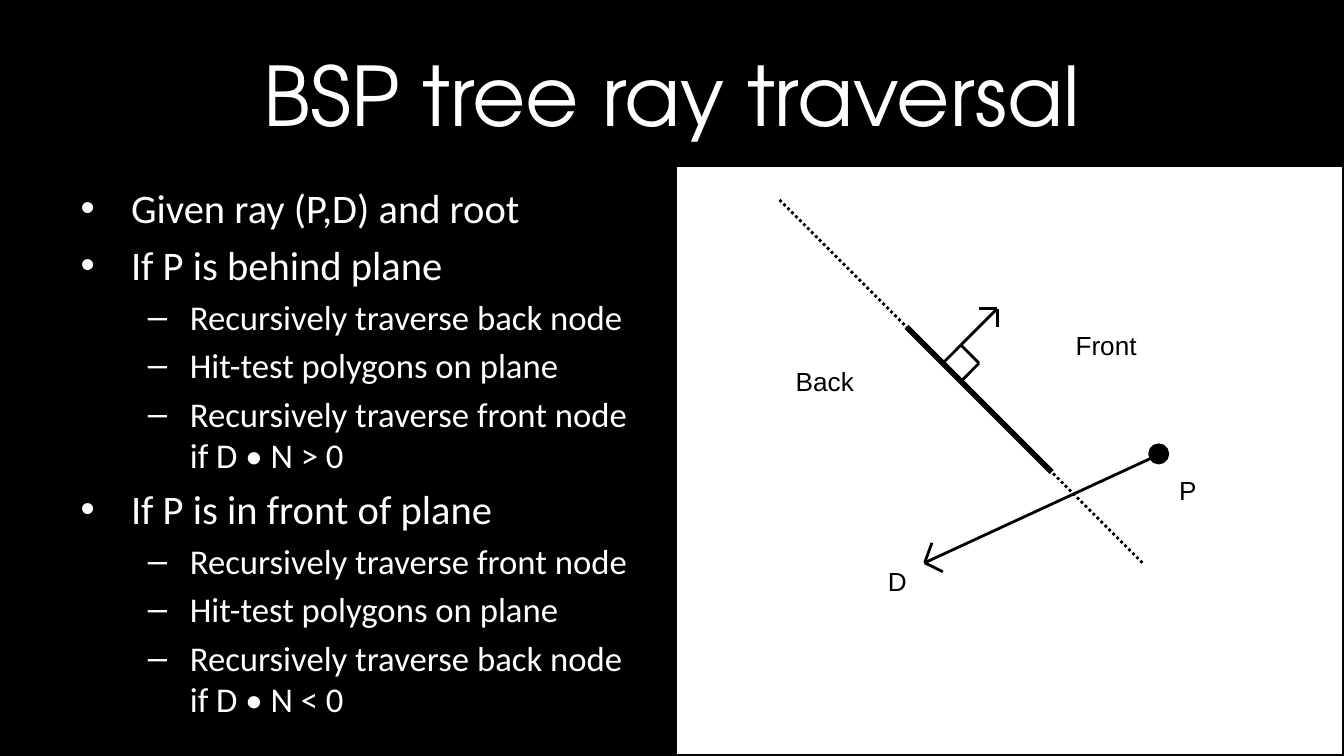
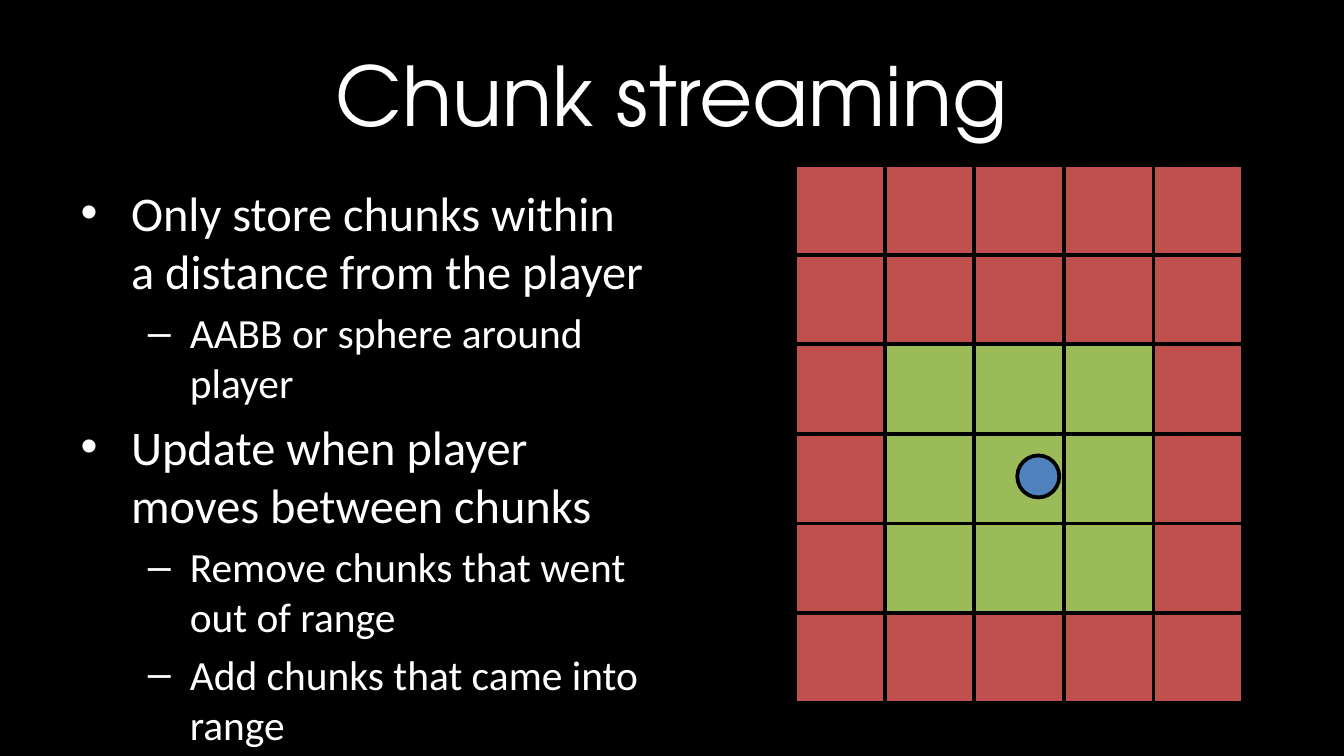
import pptx
import pptx.util
import pptx.dml.color
import pptx.enum.dml
import pptx.enum.shapes
import pptx.enum.text
import pptx.oxml
import dataclasses

Pt = pptx.util.Pt
RGB = pptx.dml.color.RGBColor.from_string
Kind = pptx.enum.shapes.MSO_SHAPE
Text = pptx.enum.text


@dataclasses.dataclass
class Theme:
    black = RGB("000000")
    white = RGB("FFFFFF")
    red = RGB("C0504D")
    green = RGB("9BBB59")
    blue = RGB("4F81BD")
    head = "TeX Gyre Adventor"
    body = "Calibri"
    label = "Arial"
    title_size = Pt(44)
    label_size = Pt(14)
    dense = (Pt(21.7), Pt(18.6))
    loose = (Pt(25.9), Pt(22.2))


theme = Theme()
deck = pptx.Presentation()
deck.slide_width, deck.slide_height = Pt(720), Pt(405)
back = deck.slide_master.background.fill
back.solid()
back.fore_color.rgb = theme.black
layout = deck.slide_layouts[1]
places = [(36, 16.5, 648, 67.5), (36, 94.5, 318, 267)]
for holder, place in zip(layout.placeholders, places):
    holder.left, holder.top, holder.width, holder.height = map(Pt, place)


def add_page(title, items, sizes):
    slide = deck.slides.add_slide(layout)
    slide.shapes.title.text = title
    font = slide.shapes.title.text_frame.paragraphs[0].font
    font.name, font.size, font.color.rgb = theme.head, theme.title_size, theme.white
    frame = slide.placeholders[1].text_frame
    frame.auto_size = Text.MSO_AUTO_SIZE.NONE
    frame.text = "\n".join(text for level, text in items)
    for para, (level, text) in zip(frame.paragraphs, items):
        para.level = level
        font = para.font
        font.name, font.size, font.color.rgb = theme.body, sizes[level], theme.white
    return slide


def add_mark(shapes, kind, place, fill, width=2):
    mark = shapes.add_shape(kind, *map(Pt, place))
    mark.shadow.inherit = False
    mark.fill.solid()
    mark.fill.fore_color.rgb = fill
    mark.line.color.rgb = theme.black
    mark.line.width = Pt(width)


slide = add_page("BSP tree ray traversal", [
    (0, "Given ray (P,D) and root"),
    (0, "If P is behind plane"),
    (1, "Recursively traverse back node"),
    (1, "Hit-test polygons on plane"),
    (1, "Recursively traverse front node if D • N > 0"),
    (0, "If P is in front of plane"),
    (1, "Recursively traverse front node"),
    (1, "Hit-test polygons on plane"),
    (1, "Recursively traverse back node if D • N < 0"),
], theme.dense)
add_mark(slide.shapes, Kind.RECTANGLE, (361.5, 88.5, 358.5, 316.5), theme.white)

unit, left, top = 9.72, 417.6, 107.1
plane = (7, 7, 15, 15)
split = (20, 20, 0, 0)
normal = [(9, 9, 12, 6), (12, 6, 11, 6), (12, 6, 12, 7)]
corner = [(10, 8, 11, 9), (11, 9, 10, 10)]
ray = [(21, 14, 8, 20), (8, 20, 8.4, 18.9), (8, 20, 9, 20.5)]
sketch = slide.shapes.add_group_shape().shapes
for ends in [split, plane, *normal, *corner, *ray]:
    x1, y1, x2, y2 = ends
    line = sketch.add_connector(
        pptx.enum.shapes.MSO_CONNECTOR.STRAIGHT,
        Pt(left + x1 * unit), Pt(top + y1 * unit),
        Pt(left + x2 * unit), Pt(top + y2 * unit))
    line.line.color.rgb = theme.black
    line.line.width = Pt(3 if ends == plane else 1.5)
    if ends == split:
        line.line.dash_style = pptx.enum.dml.MSO_LINE.ROUND_DOT
    props = line.line._get_or_add_ln().getparent()
    props.append(pptx.oxml.parse_xml(
        '<a:effectLst xmlns:a="http://schemas.openxmlformats.org/drawingml/2006/main"/>'))

dot = (left + 20.4 * unit, top + 13.5 * unit, unit, unit)
add_mark(sketch, Kind.OVAL, dot, theme.black, 1.5)

labels = [("Front", 13, 5, 10), ("Back", -2, 7, 9), ("D", 2, 18, 9), ("P", 20, 13, 5)]
for text, x, y, width in labels:
    box = sketch.add_textbox(
        Pt(left + x * unit), Pt(top + y * unit), Pt(width * unit), Pt(6 * unit))
    frame = box.text_frame
    frame.word_wrap = True
    frame.vertical_anchor = Text.MSO_ANCHOR.MIDDLE
    frame.margin_left = frame.margin_right = Pt(7.2)
    frame.margin_top = frame.margin_bottom = Pt(7.2)
    frame.text = text
    para = frame.paragraphs[0]
    para.alignment = Text.PP_ALIGN.CENTER
    font = para.font
    font.name, font.size, font.color.rgb = theme.label, theme.label_size, theme.black

slide = add_page("Chunk streaming", [
    (0, "Only store chunks within a distance from the player"),
    (1, "AABB or sphere around player"),
    (0, "Update when player moves between chunks"),
    (1, "Remove chunks that went out of range"),
    (1, "Add chunks that came into range"),
], theme.loose)

side = 48
for row in range(6):
    for col in range(5):
        near = 2 <= row <= 4 and 1 <= col <= 3
        place = (426 + col * side, 88.5 + row * side, side, side)
        add_mark(slide.shapes, Kind.RECTANGLE, place, theme.green if near else theme.red)
add_mark(slide.shapes, Kind.OVAL, (545, 244, 22.5, 22.5), theme.blue)

deck.save("out.pptx")
